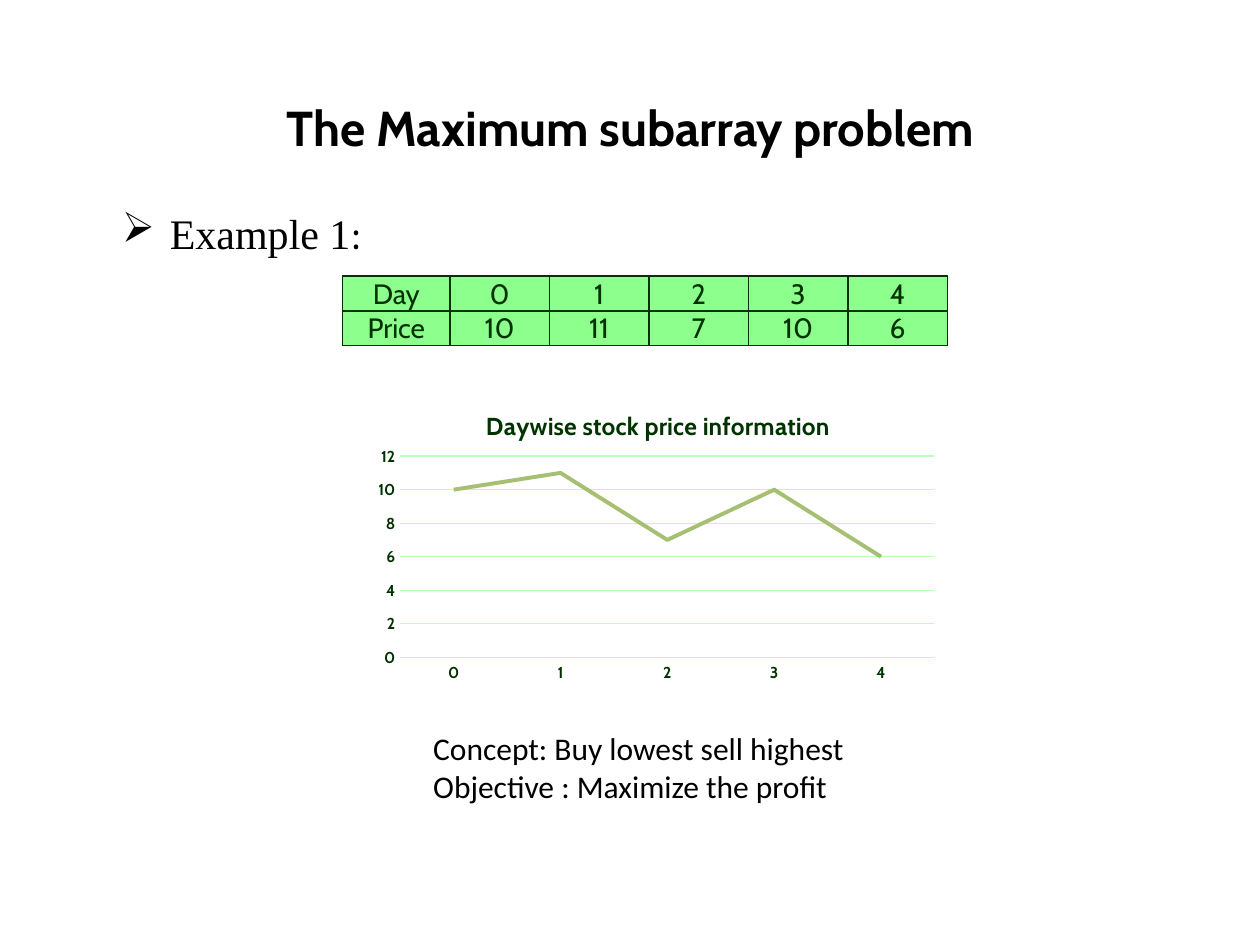
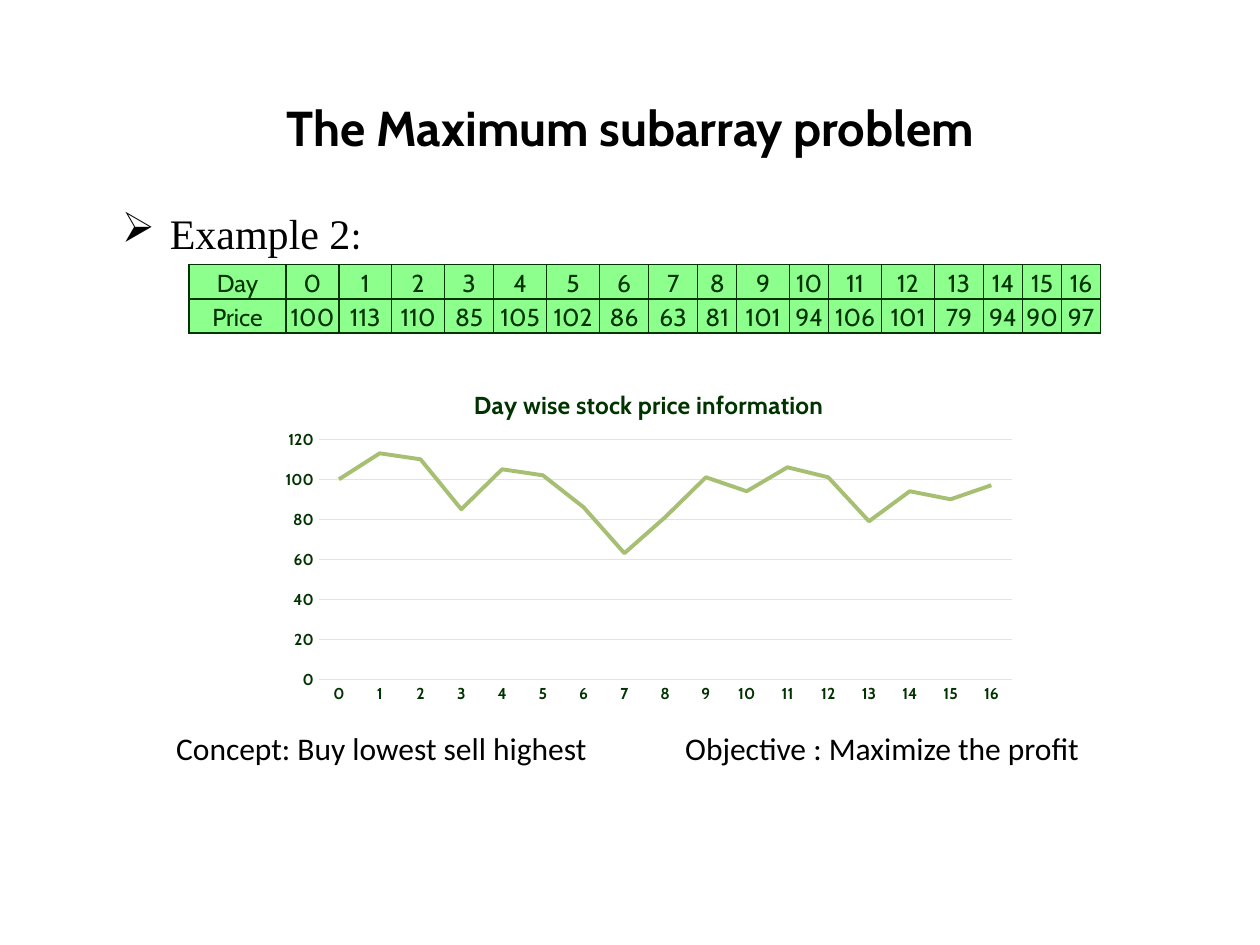
from lxml import etree
from pptx import Presentation
from pptx.chart.data import CategoryChartData
from pptx.dml.color import RGBColor
from pptx.enum.chart import XL_CHART_TYPE, XL_TICK_MARK
from pptx.enum.text import MSO_ANCHOR, PP_ALIGN
from pptx.oxml import parse_xml
from pptx.oxml.ns import nsdecls, qn
from pptx.util import Inches, Pt

LINE_CHART = XL_CHART_TYPE.LINE
NO_TICKS = XL_TICK_MARK.NONE
TOP, MIDDLE, BOTTOM = MSO_ANCHOR.TOP, MSO_ANCHOR.MIDDLE, MSO_ANCHOR.BOTTOM
LEFT, CENTER, JUSTIFY = PP_ALIGN.LEFT, PP_ALIGN.CENTER, PP_ALIGN.JUSTIFY

WIDTH, HEIGHT = Inches(10), Inches(7.5)
COLUMNS = 100
UNIT = WIDTH // COLUMNS

TITLE = "The Maximum subarray problem"
CONCEPT = "Concept: Buy lowest sell highest"
OBJECTIVE = "Objective : Maximize the profit"

THEME = {
    "ink": "003300",
    "cell": "8CFF8C",
    "grid": "BAFFBA",
    "series": "A6BF73",
    "title": {"name": "Cabin", "size": 28, "bold": True, "color": "000000"},
    "heading": {"name": "Times New Roman", "size": 24, "color": "000000"},
    "colon": {"name": "Cambria", "size": 24, "color": "000000"},
    "note": {"name": "Calibri", "size": 18, "color": "000000"},
    "chart": {"name": "Cabin", "size": 10, "color": "003300"},
    "chart title": {"name": "Cabin", "size": 14, "bold": True, "color": "003300"},
    "axis": {"name": "Cabin", "size": 9, "bold": True, "color": "003300"},
    "table": {"name": "Cabin", "color": "003300"},
}

TITLE_AREA = (5, 6.3, 90, 7.5)
HEADING_AREA = (8.7, 14, 82.7, 54.8)
HANGING = 3.8
ROW = 2.72

EXAMPLES = [
    {
        "heading": "Example 1",
        "prices": [10, 11, 7, 10, 6],
        "table at": (27.2, 21.9),
        "table size": 16,
        "widths": [8.5] + [7.9] * 5,
        "chart title": "Daywise stock price information",
        "chart at": (29, 30.4, 46.1, 24.2),
        "title share": {"x": 0.2, "y": 0.07},
        "plot share": {"x": 0.06, "y": 0.24, "w": 0.92, "h": 0.66},
        "top price": 12,
        "step": 2,
        "notes": [CONCEPT, OBJECTIVE],
        "notes at": (33.4, 57.4, 37, 7.1),
    },
    {
        "heading": "Example 2",
        "prices": [100, 113, 110, 85, 105, 102, 86, 63, 81,
                   101, 94, 106, 101, 79, 94, 90, 97],
        "table at": (15, 21),
        "table size": 14,
        "widths": [7.7, 4.2, 4.2, 4.2, 3.9, 4.2, 4.2, 3.9, 3.9,
                   3.1, 4.2, 3.1, 4.2, 4.2, 3.9, 3.1, 3.1, 3.1],
        "chart title": "Day wise stock price information",
        "chart at": (21.7, 28.8, 59.8, 27.6),
        "title share": {"x": 0.26, "y": 0.06},
        "plot share": {"x": 0.06, "y": 0.22, "w": 0.92, "h": 0.69},
        "top price": 120,
        "step": 20,
        "notes": [CONCEPT + "\t" + OBJECTIVE],
        "notes at": (13, 57.4, 76.4, 4),
        "tab": 40.4,
    },
]


def grid(*lengths):
    return [round(length * UNIT) for length in lengths]


def rgb(value):
    return RGBColor.from_string(value)


def style(font, **formats):
    for name, value in formats.items():
        if name == "color":
            font.color.rgb = rgb(value)
        else:
            setattr(font, name, Pt(value) if name == "size" else value)


def add_text(page, area, paragraphs, anchor=TOP, align=LEFT):
    frame = page.shapes.add_textbox(*grid(*area)).text_frame
    frame.word_wrap = True
    frame.vertical_anchor = anchor
    for index, spans in enumerate(paragraphs):
        para = frame.add_paragraph() if index else frame.paragraphs[0]
        para.alignment = align
        for text, role in spans:
            span = para.add_run()
            span.text = text
            style(span.font, **THEME[role])
    return frame.paragraphs


def add_heading(page, text):
    spans = [(text, "heading"), (":", "colon")]
    para = add_text(page, HEADING_AREA, [spans], align=JUSTIFY)[0]
    para.line_spacing = 1.5
    hanging, = grid(HANGING)
    properties = para._p.get_or_add_pPr()
    properties.set("marL", str(hanging))
    properties.set("indent", str(-hanging))
    etree.SubElement(properties, qn("a:buChar")).set("char", "➢")


def add_notes(page, example):
    lines = [[(line, "note")] for line in example["notes"]]
    paragraphs = add_text(page, example["notes at"], lines)
    if "tab" in example:
        properties = paragraphs[0]._p.get_or_add_pPr()
        tabs = etree.SubElement(properties, qn("a:tabLst"))
        tab = etree.SubElement(tabs, qn("a:tab"))
        tab.set("pos", str(grid(example["tab"])[0]))
        tab.set("algn", "l")


def add_borders(cell):
    properties = cell._tc.get_or_add_tcPr()
    for index, side in enumerate(("lnL", "lnR", "lnT", "lnB")):
        properties.insert(index, parse_xml(
            f'<a:{side} {nsdecls("a")} w="{Pt(1)}"><a:solidFill>'
            f'<a:srgbClr val="{THEME["ink"]}"/></a:solidFill></a:{side}>'))


def fill_cell(cell, text, size):
    formats = {"margin_left": 0.01, "margin_right": 0.01,
               "margin_top": 0.01, "margin_bottom": 0}
    for name, value in formats.items():
        setattr(cell, name, Inches(value))
    cell.vertical_anchor = BOTTOM
    cell.fill.solid()
    cell.fill.fore_color.rgb = rgb(THEME["cell"])
    add_borders(cell)
    para = cell.text_frame.paragraphs[0]
    para.alignment = CENTER
    span = para.add_run()
    span.text = str(text)
    style(span.font, size=size, **THEME["table"])


def add_price_table(page, example):
    prices, widths = example["prices"], example["widths"]
    rows = [["Day", *range(len(prices))], ["Price", *prices]]
    area = grid(*example["table at"], sum(widths), ROW * len(rows))
    table = page.shapes.add_table(len(rows), len(widths), *area).table
    table.first_row = table.horz_banding = False
    for column, width in zip(table.columns, grid(*widths)):
        column.width = width
    for row, values in enumerate(rows):
        table.rows[row].height = grid(ROW)[0]
        for column, value in enumerate(values):
            fill_cell(table.cell(row, column), value, example["table size"])


def place(holder, position, shares, target=""):
    for layout in holder.findall(qn("c:layout")):
        holder.remove(layout)
    modes = "".join(f'<c:{axis}Mode val="edge"/>' for axis in "xy")
    sizes = "".join(f'<c:{key} val="{share}"/>' for key, share in shares.items())
    holder.insert(position, parse_xml(
        f'<c:layout {nsdecls("c")}><c:manualLayout>{target}{modes}{sizes}'
        '</c:manualLayout></c:layout>'))


def paint_line(line, color, width):
    line.color.rgb = rgb(color)
    line.width = Pt(width)


def add_price_chart(page, example):
    prices = example["prices"]
    data = CategoryChartData()
    data.categories = [str(day) for day in range(len(prices))]
    data.add_series("Series 1", prices)
    area = grid(*example["chart at"])
    chart = page.shapes.add_chart(LINE_CHART, *area, data).chart
    chart.has_legend = False
    style(chart.font, **THEME["chart"])

    chart.has_title = True
    span = chart.chart_title.text_frame.paragraphs[0].add_run()
    span.text = example["chart title"]
    style(span.font, **THEME["chart title"])
    chart.chart_title.include_in_layout = False
    place(chart.element.xpath("c:chart/c:title")[0], 1, example["title share"])
    place(chart.element.xpath("c:chart/c:plotArea")[0], 0,
          example["plot share"], '<c:layoutTarget val="inner"/>')

    days, values = chart.category_axis, chart.value_axis
    for axis in (days, values):
        axis.major_tick_mark = axis.minor_tick_mark = NO_TICKS
        style(axis.tick_labels.font, **THEME["axis"])
    paint_line(days.format.line, THEME["grid"], 0.75)
    values.format.line.fill.background()
    limits = {"minimum_scale": 0, "maximum_scale": example["top price"],
              "major_unit": example["step"], "has_major_gridlines": True}
    for name, value in limits.items():
        setattr(values, name, value)
    paint_line(values.major_gridlines.format.line, THEME["grid"], 0.75)

    plot = chart.plots[0]
    plot.vary_by_categories = False
    series = plot.series[0]
    series.smooth = False
    paint_line(series.format.line, THEME["series"], 2.25)


def main():
    deck = Presentation()
    deck.slide_width, deck.slide_height = WIDTH, HEIGHT
    for example in EXAMPLES:
        page = deck.slides.add_slide(deck.slide_layouts[6])
        add_text(page, TITLE_AREA, [[(TITLE, "title")]], MIDDLE, CENTER)
        add_heading(page, example["heading"])
        add_notes(page, example)
        add_price_table(page, example)
        add_price_chart(page, example)
    deck.save("out.pptx")


if __name__ == "__main__":
    main()
